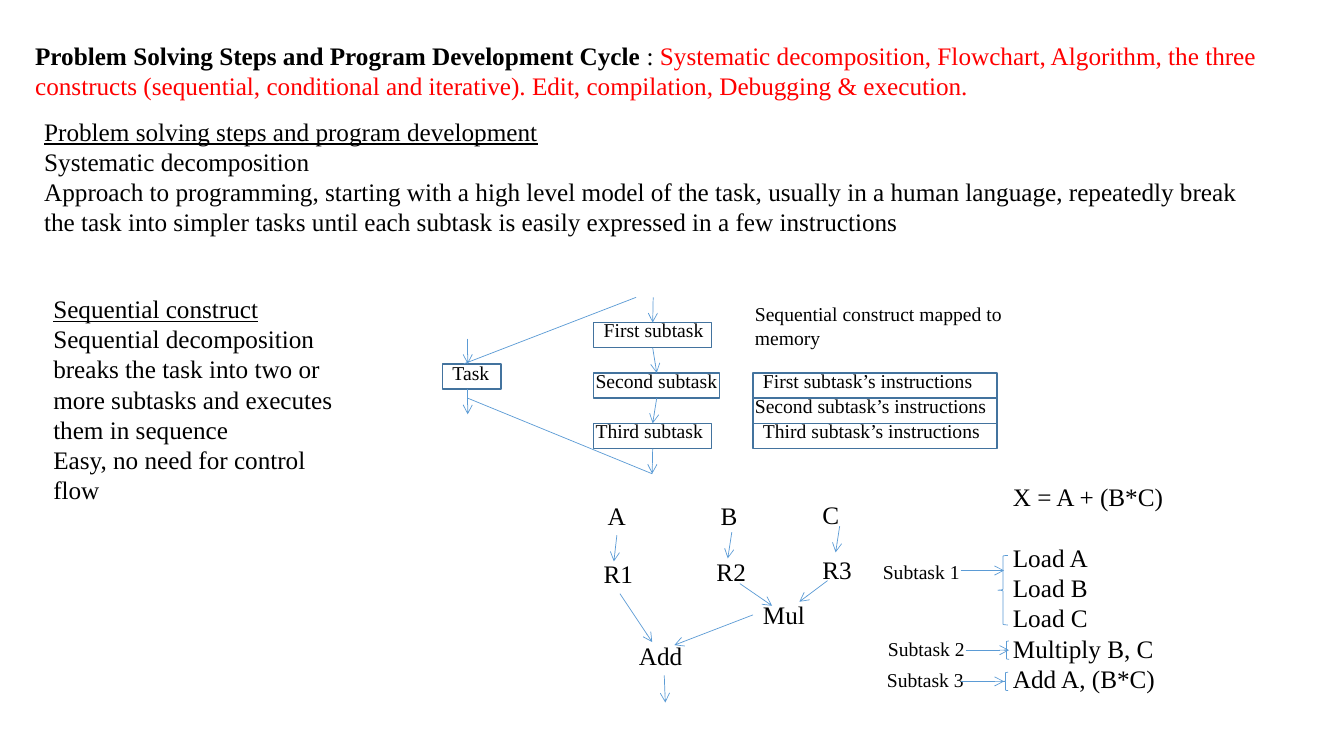
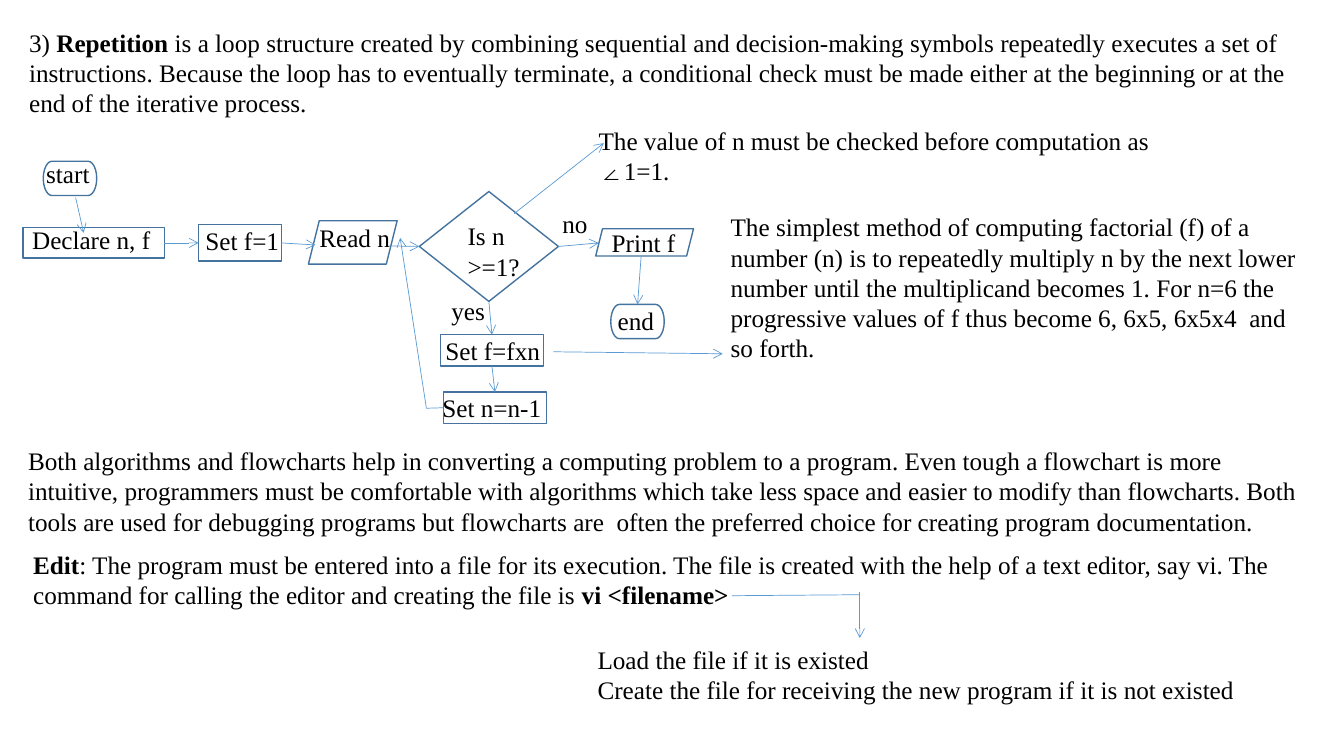
"""Build two slides on problem solving steps and flowcharts, on a grid of tenths of an inch."""
import lxml.etree
import pptx
import pptx.dml.color
import pptx.enum.shapes
import pptx.oxml.ns
import pptx.util

KIND = pptx.enum.shapes.MSO_SHAPE
FONT = "Times New Roman"
HUES = {"ink": "000000", "red": "FF0000", "edge": "43739E", "wire": "5B9BD5"}
WIDE, HIGH = 133.33, 75


def cell(count):
    """Turn grid units into a length."""
    return pptx.util.Inches(count / 10)


def hue(name):
    """Look up a colour."""
    return pptx.dml.color.RGBColor.from_string(HUES[name])


def write(para, words, size=18, bold=False, under=False, tone="ink"):
    """Add one run of formatted text to a paragraph."""
    run = para.add_run()
    run.text = words
    font = run.font
    font.name, font.size = FONT, pptx.util.Pt(size)
    font.bold, font.underline = bold, under
    font.color.rgb = hue(tone)


def text(page, at, *paras, size=18, gaps=None):
    """Place a text box; a paragraph is a string or a list of (words, format) runs."""
    frame = page.shapes.add_textbox(*map(cell, at)).text_frame
    frame.word_wrap = True
    for num, runs in enumerate(paras):
        para = frame.add_paragraph() if num else frame.paragraphs[0]
        if gaps and num in gaps:
            para.space_before = pptx.util.Pt(gaps[num])
        for words, look in [(runs, {})] if isinstance(runs, str) else runs:
            write(para, words, size=size, **look)


def box(page, at, kind=KIND.RECTANGLE, tone="edge", width=1):
    """Draw an unfilled outline shape."""
    shape = page.shapes.add_shape(kind, *map(cell, at))
    shape.shadow.inherit = False
    shape.fill.background()
    shape.line.color.rgb = hue(tone)
    shape.line.width = pptx.util.Pt(width)
    return shape


def wire(page, start, end, tip=True):
    """Draw a line between ends given as (column, row) or (shape, side)."""
    ends = (start, end)
    held = [not isinstance(spot[0], (int, float)) for spot in ends]
    spots = [cell(n) for spot, fast in zip(ends, held) for n in ((0, 0) if fast else spot)]
    line = page.shapes.add_connector(pptx.enum.shapes.MSO_CONNECTOR.STRAIGHT, *spots)
    for spot, fast, join in zip(ends, held, (line.begin_connect, line.end_connect)):
        if fast:
            join(*spot)
    line.line.color.rgb = hue("wire")
    line.line.width = pptx.util.Pt(0.5)
    qn = pptx.oxml.ns.qn
    if tip:
        lxml.etree.SubElement(line.line._get_or_add_ln(), qn("a:tailEnd"), type="arrow")
    lxml.etree.SubElement(line._element.spPr, qn("a:effectLst"))


def steps(page):
    """Draw the task, its subtasks and their places in memory."""
    task = box(page, (43.9, 36.1, 5.8, 2.5))
    text(page, (43.9, 35.3, 6.2, 3.3), "Task", size=14)
    wire(page, (46.4, 33.6), (46.4, 36.1))
    wire(page, (46.4, 38.6), (46.4, 41.1))
    wire(page, (46, 36.1), (63.1, 29.5), tip=False)
    wire(page, (46.4, 39.5), (64.7, 47), tip=False)
    last = (64.8, 29.5)
    parts = [("First", 58.9, 11.7, 74.7), ("Second", 58.1, 12.5, 73.9), ("Third", 58.1, 11.7, 74.7)]
    for num, (name, left, wide, slot) in enumerate(parts):
        top, deep = 32 + 5 * num, 37 + 2.5 * num
        part = box(page, (58.9, top, wide, 2.5))
        text(page, (left, top - 0.9, 14.5, 3.4), f"{name} subtask", size=14)
        wire(page, last, (part, 0))
        last = (part, 2)
        box(page, (74.7, deep, 24.2, 2.5))
        text(page, (slot, deep - 0.9, 25.8, 3.4), f"{name} subtask’s instructions", size=14)
    wire(page, last, (64.7, 47))
    text(page, (73.9, 29.5, 29.2, 5.7), "Sequential construct mapped to memory", size=14)


def tree(page):
    """Draw the worked sum as a tree of registers and operations."""
    nodes = [("A", 59.3, 49.1), ("B", 70.5, 49.1), ("C", 80.6, 49), ("R1", 58.9, 54.9),
             ("R2", 70.1, 54.7), ("R3", 80.6, 54.5), ("Mul", 74.7, 59), ("Add", 62.4, 63)]
    for name, left, top in nodes:
        text(page, (left, top, 2 + 1.8 * len(name), 4), name)
    for start, end in [((61.2, 53.1), (60.9, 55.7)), ((72.6, 52.8), (72.2, 55.4)),
                       ((83.3, 52.2), (82.9, 54.8)), ((73.4, 57.9), (76.6, 60.1)),
                       ((82.1, 57.6), (79.3, 59.7)), ((61.5, 58.9), (64.7, 63.7)),
                       ((74.7, 61), (66.9, 64)), ((65.9, 67), (66, 69.7))]:
        wire(page, start, end)


def code(page):
    """List the instructions and brace them by subtask."""
    text(page, (99.5, 47.3, 20.5, 22.2), "X = A + (B*C)", "Load A", "Load B", "Load C",
         "Multiply B, C", "Add A, (B*C)", gaps={1: 21.6})
    rows = [(86.6, 55.1, 95.3, 56.6, (99, 55.1, 1, 6.9)),
            (87.1, 62.7, 95.8, 64.5, (99.6, 63.6, 0.5, 1.8)),
            (87, 65.8, 95.3, 67.6, (99.5, 66.7, 0.5, 1.8))]
    for num, (left, top, start, row, brace) in enumerate(rows, 1):
        text(page, (left, top, 10.3, 3.4), f"Subtask {num}", size=14)
        wire(page, (start, row), (start + 4.3, row))
        box(page, brace, KIND.LEFT_BRACE, "wire", 0.5)


def first(page):
    """Fill the slide on systematic decomposition."""
    text(page, (2.5, 3.5, 123.9, 7.1), [
        ("Problem Solving Steps and Program Development Cycle ", {"bold": True}), (": ", {}),
        ("Systematic decomposition, Flowchart, Algorithm, the three constructs (sequential, "
         "conditional and iterative). Edit, compilation, Debugging & execution.", {"tone": "red"})])
    text(page, (3.4, 11, 123.7, 13.1),
         [("Problem solving steps and program development", {"under": True})],
         "Systematic decomposition",
         "Approach to programming, starting with a high level model of the task, usually in a "
         "human language, repeatedly break the task into simpler tasks until each subtask is "
         "easily expressed in a few instructions")
    text(page, (4.3, 28.6, 30.8, 22.2), [("Sequential construct", {"under": True})],
         "Sequential decomposition breaks the task into two or more subtasks and executes them "
         "in sequence", "Easy, no need for control flow")
    steps(page)
    tree(page)
    code(page)


def flow(page):
    """Draw the factorial flowchart."""
    oval, slant = KIND.FLOWCHART_TERMINATOR, KIND.PARALLELOGRAM
    box(page, (4.3, 16, 5.3, 3.4), oval)
    box(page, (30.6, 21.9, 8.8, 4.3), slant)
    box(page, (59.1, 22.7, 9.7, 2.7), slant)
    stop = box(page, (60.6, 30.2, 5.3, 3.4), oval)
    decl = box(page, (2.3, 22.6, 14, 3))
    init = box(page, (19.7, 22.3, 8.2, 3.6))
    test = box(page, (41.6, 19, 13.8, 10.9), KIND.FLOWCHART_DECISION)
    mult = box(page, (43.7, 33.2, 10.2, 3.1))
    less = box(page, (44, 38.9, 10.2, 3.1))
    for words, left, top, wide in [
            ("start", 3.6, 15.2, 6.8), ("Declare n, f", 2.2, 21.8, 14.5), ("Set f=1", 19.4, 21.9, 10),
            ("Read n", 30.7, 21.6, 9.3), ("Print f", 59.7, 22.1, 8.8), ("end", 60.3, 29.8, 6),
            ("yes", 43.8, 28.8, 6), ("no", 54.8, 20.2, 5), ("Set f=fxn", 43.2, 32.8, 12),
            ("Set n=n-1", 42.9, 38.4, 12.1)]:
        text(page, (left, top, wide, 4), words)
    text(page, (45.4, 21.4, 7.7, 7.1), "Is n >=1?")
    for start, end in [((7.5, 19.6), (8.3, 23.1)), ((decl, 3), (init, 1)),
                       ((init, 3), (31.3, 24.3)), ((38.6, 24.4), (test, 1)),
                       ((test, 2), (mult, 0)), ((mult, 2), (less, 0)),
                       ((42.3, 40.5), (39.7, 23.6)), ((test, 3), (59.4, 24.1)),
                       ((63.6, 25.5), (stop, 0)), ((51, 21.2), (59.9, 14.2)),
                       ((54.9, 34.9), (71.7, 35.1))]:
        wire(page, start, end)
    wire(page, (less, 1), (42.3, 40.5), tip=False)


def second(page):
    """Fill the slide on repetition and editing."""
    text(page, (1.9, 2.2, 127.8, 10.1), [
        ("3) ", {}), ("Repetition ", {"bold": True}),
        ("is a loop structure created by combining sequential and decision-making symbols "
         "repeatedly executes a set of instructions. Because the loop has to eventually "
         "terminate, a conditional check must be made either at the beginning or at the end of "
         "the iterative process.", {})])
    flow(page)
    text(page, (58.4, 11.9, 59, 7.1), "The value of n must be checked before computation as ∠1=1.")
    text(page, (71.5, 20.5, 59, 16.2),
         "The simplest method of computing factorial (f) of a number (n) is to repeatedly "
         "multiply n by the next lower number until the multiplicand becomes 1. For n=6 the "
         "progressive values of f thus become 6, 6x5, 6x5x4  and so forth.")
    text(page, (1.8, 43.7, 129.8, 10.1),
         "Both algorithms and flowcharts help in converting a computing problem to a program. "
         "Even tough a flowchart is more intuitive, programmers must be comfortable with "
         "algorithms which take less space and easier to modify than flowcharts. Both tools are "
         "used for debugging programs but flowcharts are  often the preferred choice for "
         "creating program documentation.")
    text(page, (2.3, 54, 127.9, 7.1), [
        ("Edit", {"bold": True}),
        (": The program must be entered into a file for its execution. The file is created with "
         "the help of a text editor, say vi. The command for calling the editor and creating "
         "the file is ", {}), ("vi <filename>", {"bold": True})])
    text(page, (58.3, 63.4, 65.7, 7.1), "Load the file if it is existed",
         "Create the file for receiving the new program if it is not existed")
    wire(page, (85.3, 59), (72.6, 59.1), tip=False)
    wire(page, (85.3, 58.7), (85.3, 63.3))


def main():
    """Build and save the deck."""
    deck = pptx.Presentation()
    deck.slide_width, deck.slide_height = cell(WIDE), cell(HIGH)
    for fill in (first, second):
        fill(deck.slides.add_slide(deck.slide_layouts[6]))
    deck.save("out.pptx")


if __name__ == "__main__":
    main()
